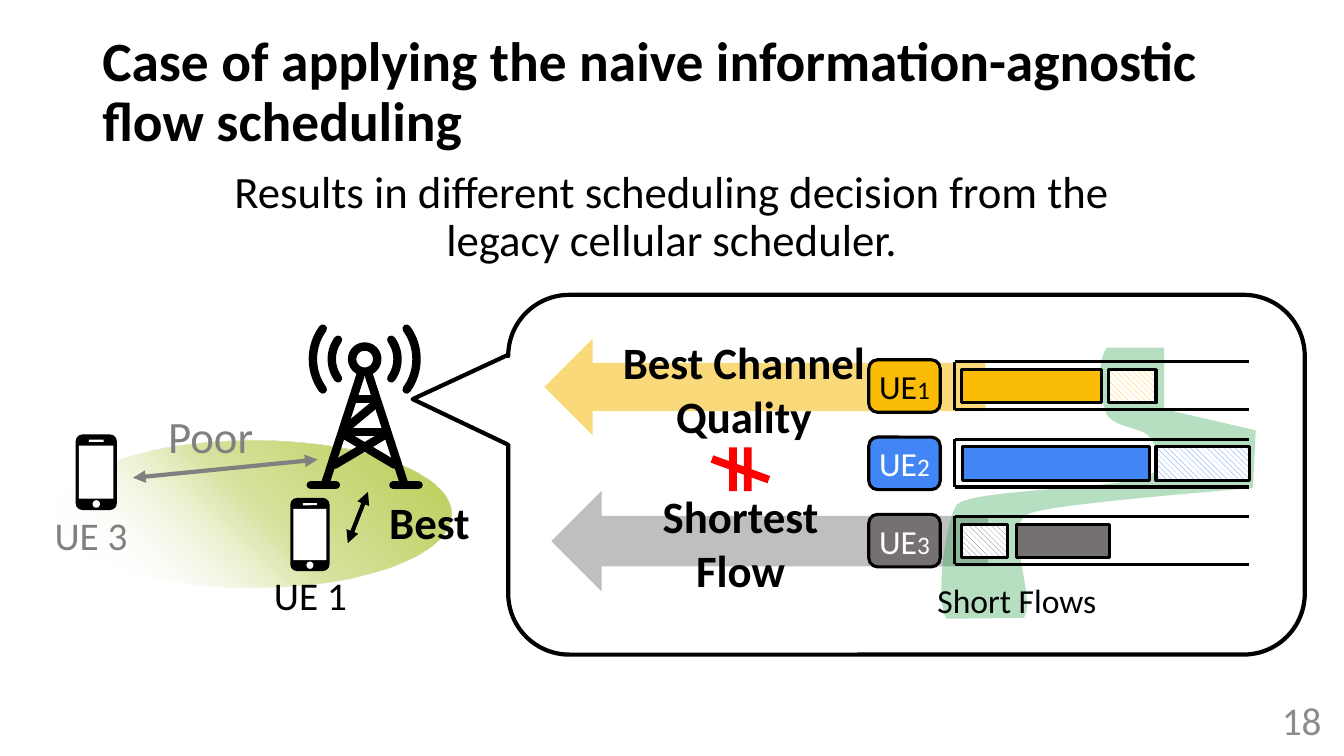
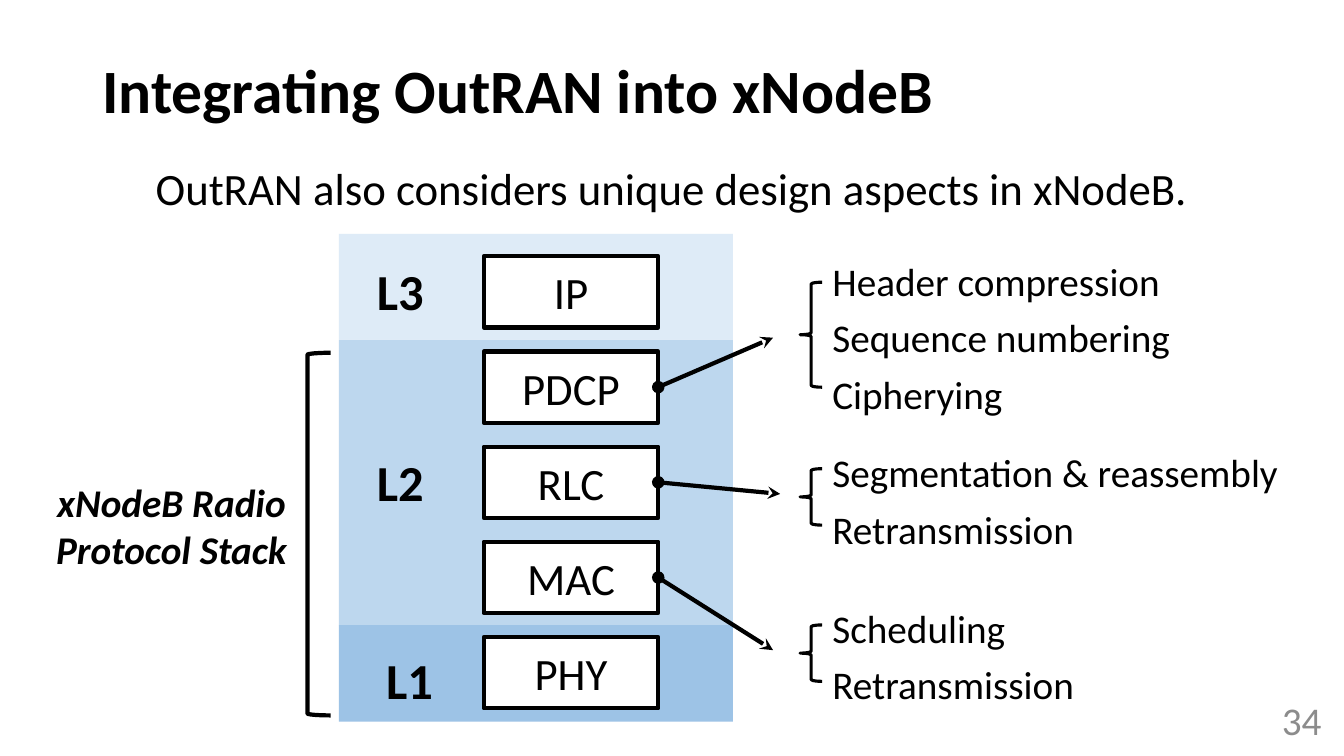
import pptx
import pptx.dml.color
import pptx.enum.dml
import pptx.enum.shapes
import pptx.enum.text
import pptx.oxml
import pptx.oxml.ns
import pptx.util
from lxml import etree

Pt = pptx.util.Pt
RGBColor = pptx.dml.color.RGBColor
SHAPE = pptx.enum.shapes.MSO_SHAPE
CONNECTOR = pptx.enum.shapes.MSO_CONNECTOR
ALIGN = pptx.enum.text.PP_ALIGN
ANCHOR = pptx.enum.text.MSO_ANCHOR
qn = pptx.oxml.ns.qn

BLACK = RGBColor(0x00, 0x00, 0x00)
WHITE = RGBColor(0xFF, 0xFF, 0xFF)
GRAY = RGBColor(0x80, 0x80, 0x80)
NUMBER_GRAY = RGBColor(0x8C, 0x8C, 0x8C)
YELLOW = RGBColor(0xFB, 0xBC, 0x05)
BLUE = RGBColor(0x42, 0x85, 0xF4)
DARK_GRAY = RGBColor(0x76, 0x71, 0x71)
GREEN = RGBColor(0x34, 0xA8, 0x53)
LIME = RGBColor(0xBB, 0xD0, 0x5B)
RED = RGBColor(0xFF, 0x00, 0x00)
PALE_YELLOW = RGBColor(0xF9, 0xD9, 0x79)
LIGHT_GRAY = RGBColor(0xBF, 0xBF, 0xBF)
L3_BLUE = RGBColor(0xDE, 0xEB, 0xF7)
L2_BLUE = RGBColor(0xBD, 0xD7, 0xEE)
L1_BLUE = RGBColor(0x9D, 0xC3, 0xE6)
FONT = "Calibri"


def draw(page, kind, place, fill=None, line=None, width=3, tips=None, cap=None):
    """Add a preset shape (left, top, width, height) or a connector (x1, y1, x2, y2)."""
    lengths = [Pt(value) for value in place]
    if isinstance(kind, CONNECTOR):
        shape = page.shapes.add_connector(kind, *lengths)
        etree.SubElement(shape.element.spPr, qn("a:effectLst"))
    else:
        shape = page.shapes.add_shape(kind, *lengths)
        shape.shadow.inherit = False
        if fill is None:
            shape.fill.background()
        else:
            shape.fill.solid()
            shape.fill.fore_color.rgb = fill
    if line is None:
        shape.line.fill.background()
    else:
        shape.line.color.rgb = line
        shape.line.width = Pt(width)
    outline = shape.element.spPr.find(qn("a:ln"))
    if cap:
        outline.set("cap", cap)
    for tag, tip in zip(("a:headEnd", "a:tailEnd"), tips or ()):
        etree.SubElement(outline, qn(tag), type=tip)
    return shape


def write(shape, text, size, color=BLACK, bold=False, italic=False,
          align=ALIGN.CENTER, anchor=ANCHOR.TOP, spacing=None, wrap=True):
    frame = shape.text_frame
    frame.word_wrap = wrap
    frame.vertical_anchor = anchor
    frame.text = text
    for para in frame.paragraphs:
        para.alignment = align
        para.line_spacing = spacing
        para.font.name = FONT
        para.font.size = Pt(size)
        para.font.bold = bold
        para.font.italic = italic
        para.font.color.rgb = color
    return frame


deck = pptx.Presentation()
deck.slide_width = Pt(960)
deck.slide_height = Pt(540)

# Title and page number
pages = []
for title, size, number in (
    ("Case of applying the naive information-agnostic flow scheduling", 39.6, "18"),
    ("Integrating OutRAN into xNodeB", 44, "34"),
):
    page = deck.slides.add_slide(deck.slide_layouts[6])
    box = page.shapes.add_textbox(Pt(66), Pt(29), Pt(828), Pt(76))
    write(box, title, size, bold=True, align=ALIGN.LEFT, anchor=ANCHOR.MIDDLE, spacing=0.9)
    box = page.shapes.add_textbox(Pt(735), Pt(500), Pt(216), Pt(29))
    write(box, number, 28, NUMBER_GRAY, align=ALIGN.RIGHT, anchor=ANCHOR.MIDDLE)
    pages.append(page)
scheduling, stack = pages

# Cell coverage
coverage = draw(scheduling, SHAPE.OVAL, (39.6, 314.6, 283, 105), LIME)
solid = coverage.element.spPr.find(qn("a:solidFill"))
gradient = etree.Element(qn("a:gradFill"), rotWithShape="1")
stops = etree.SubElement(gradient, qn("a:gsLst"))
for position, color, opacity in ((0, LIME, 100), (11, LIME, 95), (49, LIME, 57), (88, WHITE, 0)):
    stop = etree.SubElement(stops, qn("a:gs"), pos=str(position * 1000))
    tint = etree.SubElement(stop, qn("a:srgbClr"), val=str(color))
    etree.SubElement(tint, qn("a:alpha"), val=str(opacity * 1000))
etree.SubElement(gradient, qn("a:lin"), ang=str(135 * 60000), scaled="0")
coverage.element.spPr.replace(solid, gradient)

# Phones: parts as fractions of the body
for left, top, width, height in ((207.4, 355.7, 28, 52.2), (54, 310.3, 29.5, 54)):
    for kind, x, y, w, h, color in (
        (SHAPE.ROUNDED_RECTANGLE, 0, 0, 1, 1, BLACK),
        (SHAPE.RECTANGLE, 0.08, 0.15, 0.84, 0.7, WHITE),
        (SHAPE.OVAL, 0.41, 0.87, 0.18, 0.1, WHITE),
        (SHAPE.ROUNDED_RECTANGLE, 0.32, 0.07, 0.36, 0.03, WHITE),
    ):
        place = (left + x * width, top + y * height, w * width, h * height)
        draw(scheduling, kind, place, color)

# Antenna, mirrored about its mast
MAST_X, MAST_Y = 260.5, 256.5
struts = [(-7.5, 285, 7.5, 285), (-14, 308.5, 14, 308.5), (6.5, 289.5, -11, 304)]
for side in (-1, 1):
    for x1, y1, x2, y2 in ((3, 268, 28.5, 346.5), (20.5, 346.5, 38.5, 346.5), (-15.5, 310, 21.5, 332)):
        struts.append((side * x1, y1, side * x2, y2))
for x1, y1, x2, y2 in struts:
    draw(scheduling, CONNECTOR.STRAIGHT, (MAST_X + x1, y1, MAST_X + x2, y2), line=BLACK, width=6, cap="rnd")
draw(scheduling, SHAPE.OVAL, (MAST_X - 9, MAST_Y - 9, 18, 18), line=BLACK, width=6)
for radius in (23.5, 37):
    for start, end in ((144, 216), (324, 36)):
        place = (MAST_X - radius, MAST_Y - radius, 2 * radius, 2 * radius)
        wave = draw(scheduling, SHAPE.ARC, place, line=BLACK, width=6, cap="rnd")
        wave.adjustments[0] = start * 0.6
        wave.adjustments[1] = end * 0.6

for place, color in (((95, 341.3, 226.8, 328.3), GRAY), ((248.4, 388, 262.8, 351.4), BLACK)):
    draw(scheduling, CONNECTOR.STRAIGHT, place, line=color, tips=("triangle", "triangle"))

# Scheduler callout
callout = draw(scheduling, SHAPE.ROUNDED_RECTANGULAR_CALLOUT, (363, 210.6, 569, 257), line=BLACK)
for index, value in enumerate((-0.62, -0.21, 0.17)):
    callout.adjustments[index] = value
draw(scheduling, SHAPE.LEFT_ARROW, (388.8, 242, 315, 69), PALE_YELLOW)
draw(scheduling, SHAPE.LEFT_ARROW, (393.8, 350.6, 312, 72), LIGHT_GRAY)
unequal = draw(scheduling, SHAPE.MATH_NOT_EQUAL, (507.6, 314, 42.5, 42.5), RED)
unequal.rotation = 90
for index, value in enumerate((0.13, 66, 0.12)):
    unequal.adjustments[index] = value

# Band over the short flows: each step is a line (one point) or a Bézier curve (three)
corner = (790.6, 248.4)
band_steps = (
    ((783.4, 257), (785.5, 285), (790.6, 296)),
    ((796.3, 306), (817.2, 305.3), (821.5, 312.5)),
    ((825.8, 320.4), (839.5, 333.4), (816.5, 341.3)),
    ((793.4, 349.2), (690.5, 350), (683.3, 360.7)),
    ((676, 371.5), (667.4, 428.4), (676, 442)),
    ((731.5, 441.4),),
    ((741, 428.4), (715, 372.2), (735.8, 366.5)),
    ((757.4, 360), (840.2, 353.5), (895, 348.5)),
    ((897, 307.4),),
    ((831.6, 292.3),),
    ((831.6, 248.4),),
)
band_points = []
current = corner
for step in band_steps:
    if len(step) == 3:
        for part in range(1, 12):
            t = part / 12
            weights = ((1 - t) ** 3, 3 * t * (1 - t) ** 2, 3 * t * t * (1 - t), t ** 3)
            knots = (current, *step)
            band_points.append([sum(w * knot[axis] for w, knot in zip(weights, knots)) for axis in (0, 1)])
    current = step[-1]
    band_points.append(current)
outline = scheduling.shapes.build_freeform(Pt(corner[0]), Pt(corner[1]))
outline.add_line_segments([(Pt(x), Pt(y)) for x, y in band_points], close=True)
band = outline.convert_to_shape()
band.shadow.inherit = False
band.fill.solid()
band.fill.fore_color.rgb = GREEN
band.line.fill.background()
tint = band.element.spPr.find(qn("a:solidFill")).find(qn("a:srgbClr"))
etree.SubElement(tint, qn("a:alpha"), val="36000")

# One queue per UE: flows are (left, width, is short)
queues = (
    (YELLOW, BLACK, ((687, 100, False), (792, 33.8, True))),
    (BLUE, WHITE, ((687.6, 133.2, False), (825.8, 67, True))),
    (DARK_GRAY, WHITE, ((687, 33, True), (725.8, 67, False))),
)
LANE_LEFT, LANE_RIGHT = 682, 892
for row, (color, text_color, flows) in enumerate(queues):
    top = 257 + 55.2 * row
    label = draw(scheduling, SHAPE.ROUNDED_RECTANGLE, (620.6, top, 51, 37.5), color, BLACK, 2.25)
    frame = write(label, "UE", 24, text_color, anchor=ANCHOR.MIDDLE, wrap=False)
    span = frame.paragraphs[0].add_run()
    span.text = str(row + 1)
    span.font.size = Pt(18)
    upper, lower = top + 1.5, top + 35.7
    for place in (
        (LANE_LEFT, upper, LANE_RIGHT, upper),
        (LANE_LEFT, lower, LANE_RIGHT, lower),
        (LANE_LEFT, upper, LANE_LEFT, lower),
    ):
        draw(scheduling, CONNECTOR.STRAIGHT, place, line=BLACK, width=2.25)
    for left, width, is_short in flows:
        flow = draw(scheduling, SHAPE.RECTANGLE, (left, top + 7, width, 23.8), color, BLACK, 2.25)
        if is_short:
            flow.fill.patterned()
            flow.fill.pattern = pptx.enum.dml.MSO_PATTERN.WIDE_DOWNWARD_DIAGONAL
            flow.fill.fore_color.rgb = color
            flow.fill.back_color.rgb = WHITE

# Protocol layers
for top, height, color in ((167, 75.5, L3_BLUE), (242.5, 204, L2_BLUE), (446.5, 69, L1_BLUE)):
    draw(stack, SHAPE.RECTANGLE, (242, top, 281.5, height), color)
layers = {}
for row, name in enumerate(("IP", "PDCP", "RLC", "MAC", "PHY")):
    layers[name] = draw(stack, SHAPE.RECTANGLE, (345.6, 183 + 68 * row, 124.6, 51), WHITE, BLACK)
    write(layers[name], name, 32, anchor=ANCHOR.MIDDLE)
draw(stack, SHAPE.LEFT_BRACKET, (219.6, 252, 16.6, 259), line=BLACK)

# Functions of each layer: arrow tip, brace top and height, text top
for name, tip, brace_top, brace_height, text_top, functions in (
    ("PDCP", (552.2, 241.2), 201.6, 75, 173.5, "Header compression\nSequence numbering\nCipherying"),
    ("RLC", (557.3, 352.8), 334.8, 40.3, 310.3, "Segmentation & reassembly\nRetransmission"),
    ("MAC", (552.2, 464.4), 446.4, 40.3, 421.2, "Scheduling\nRetransmission"),
):
    arrow = draw(stack, CONNECTOR.STRAIGHT, (470.2, 277, *tip), line=BLACK, tips=("oval", "stealth"))
    arrow.begin_connect(layers[name], 3)
    draw(stack, SHAPE.LEFT_BRACE, (571.5, brace_top, 15.8, brace_height), line=BLACK, width=2.25)
    box = stack.shapes.add_textbox(Pt(587.5), Pt(text_top), Pt(352), Pt(86))
    write(box, functions, 28, align=ALIGN.LEFT, spacing=1.2)

# Free-standing labels
for page, place, text, size, style in (
    (scheduling, (66, 117.4, 828, 80),
     "Results in different scheduling decision from the\vlegacy cellular scheduler.", 32, {"spacing": 0.9}),
    (scheduling, (20.5, 361.4, 89, 41), "UE 3", 28, {"color": GRAY}),
    (scheduling, (180.7, 404.6, 82, 41), "UE 1", 28, {}),
    (scheduling, (108, 288.7, 85, 46), "Poor", 32, {"color": GRAY}),
    (scheduling, (239.8, 350, 134, 46), "Best", 32, {"bold": True}),
    (scheduling, (431.5, 235.4, 200, 85), "Best Channel\nQuality", 32, {"bold": True}),
    (scheduling, (459, 345.6, 140, 85), "Shortest\nFlow", 32, {"bold": True}),
    (scheduling, (621.4, 410.4, 210, 36), "Short Flows", 24, {}),
    (stack, (66, 110.9, 828, 46), "OutRAN also considers unique design aspects in xNodeB.", 32, {}),
    (stack, (235.4, 182.2, 101, 51), "L3", 36, {"bold": True}),
    (stack, (235.4, 319, 101, 51), "L2", 36, {"bold": True}),
    (stack, (242, 460, 101, 51), "L1", 36, {"bold": True}),
    (stack, (16.6, 338.4, 211.7, 75), "xNodeB Radio Protocol Stack", 28, {"bold": True, "italic": True}),
):
    box = page.shapes.add_textbox(*[Pt(value) for value in place])
    write(box, text, size, **style)

deck.save("out.pptx")
